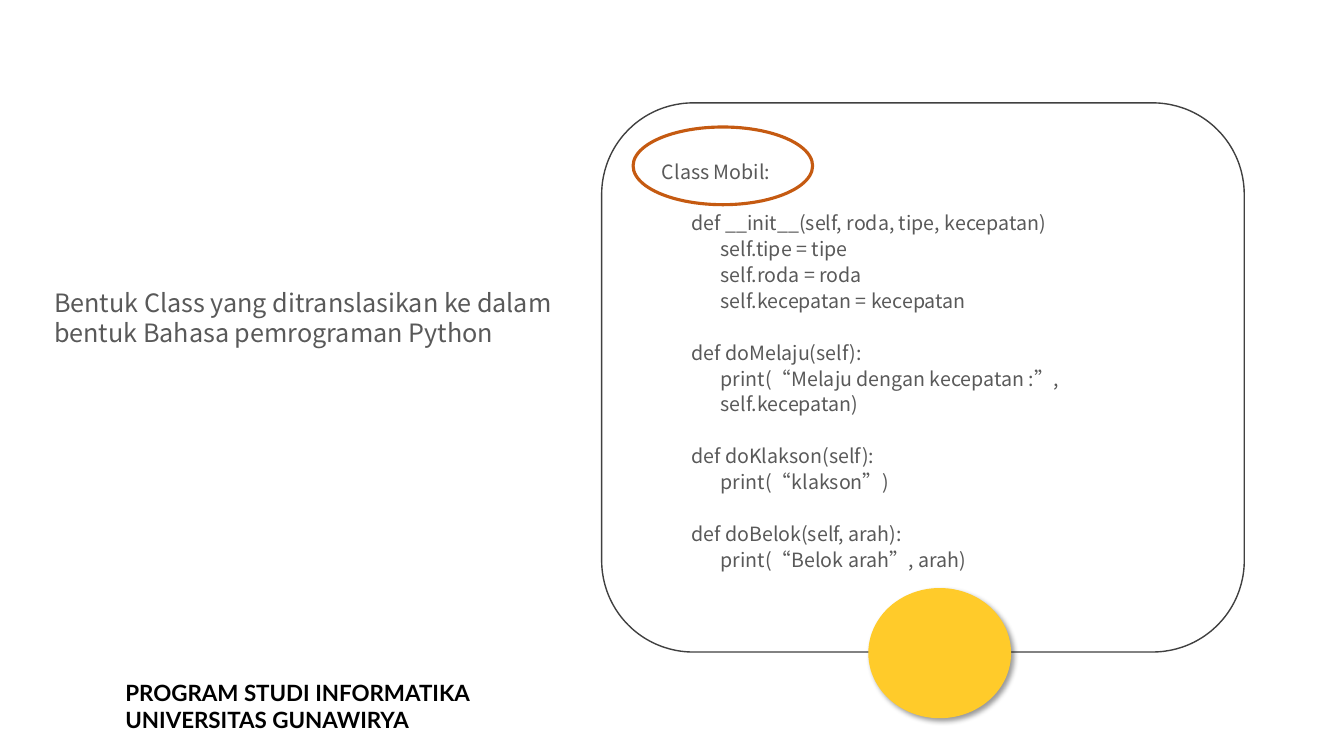
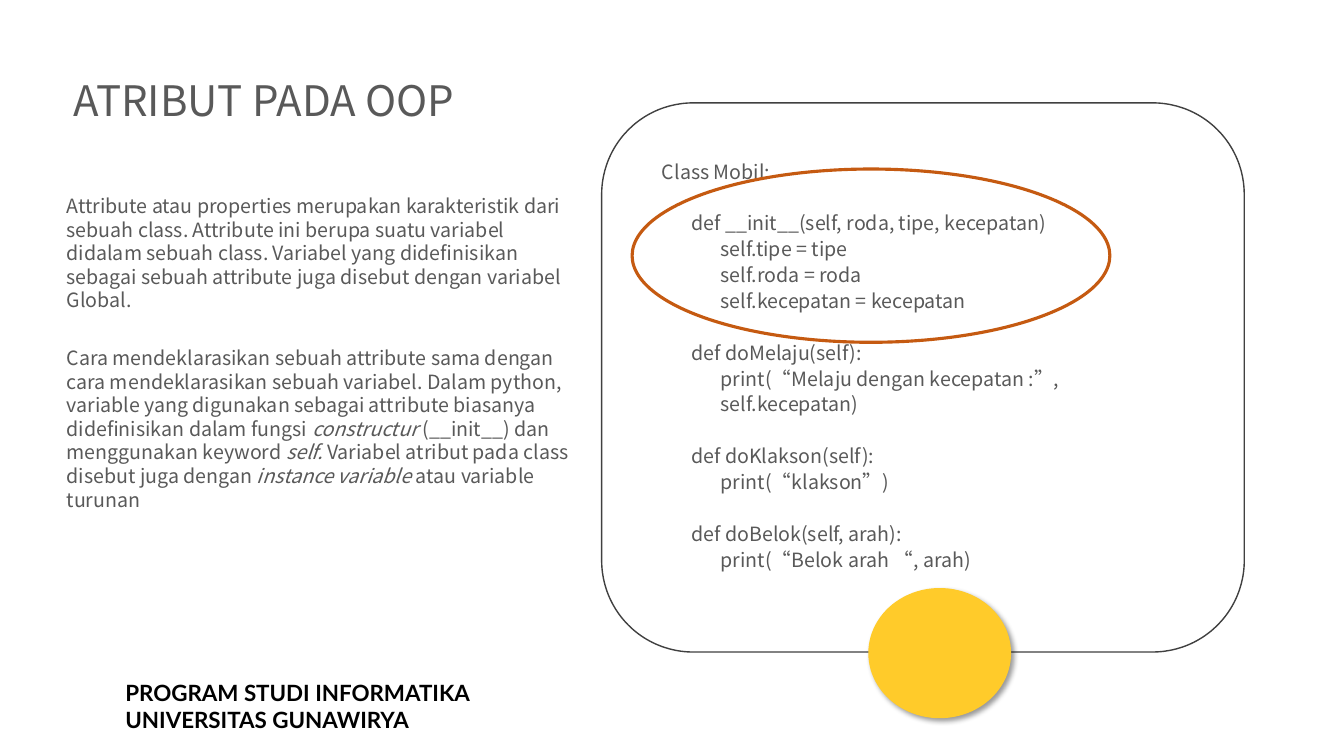
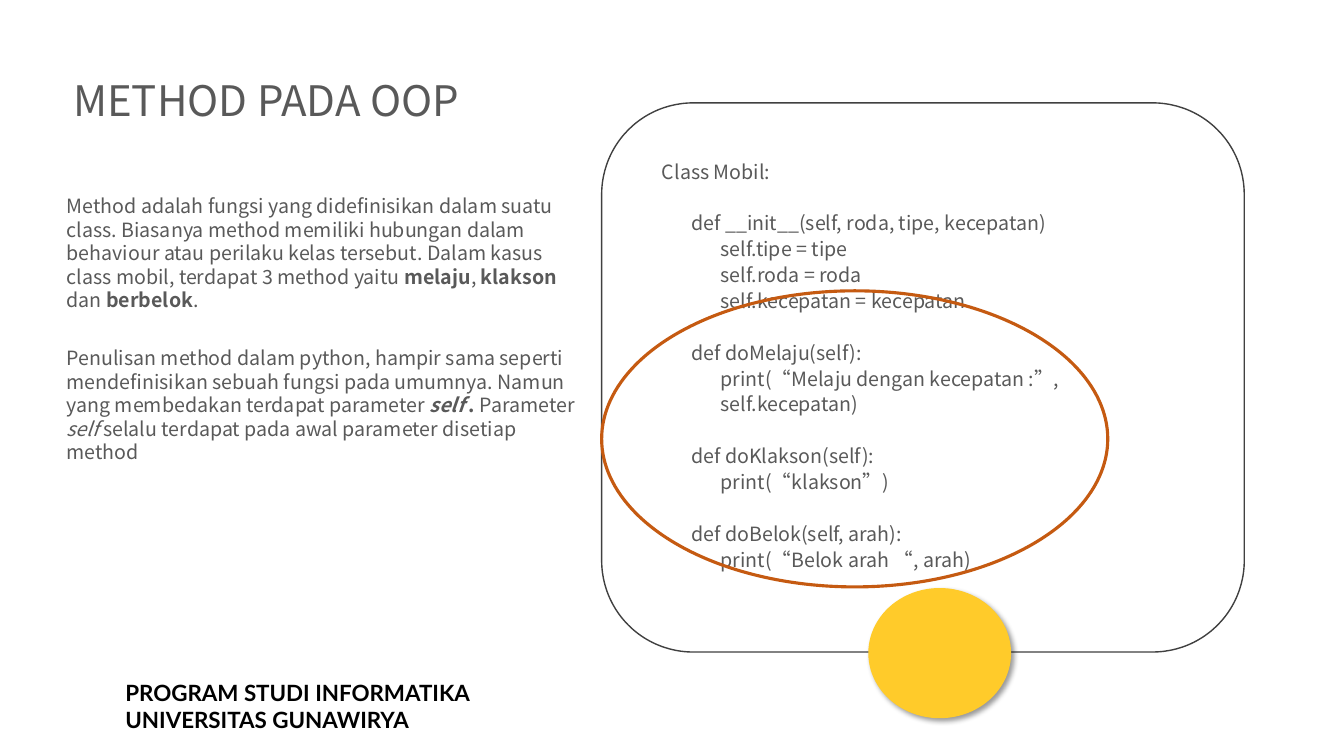
from lxml.etree import SubElement
from pptx import Presentation
from pptx.dml.color import RGBColor
from pptx.enum.shapes import MSO_SHAPE
from pptx.enum.text import MSO_ANCHOR, MSO_AUTO_SIZE, PP_ALIGN
from pptx.oxml import parse_xml
from pptx.oxml.ns import nsdecls, qn
from pptx.util import Pt

PX = 9525
SANS = "Noto Sans CJK SC"
GREY = "595959"
GOLD = "FFCB2A"
RUST = "C55A11"
STEP = 28

SHADOW = (
    f'<a:effectLst {nsdecls("a")}>'
    '<a:outerShdw blurRad="50800" dist="38100" dir="2700000" algn="tl" rotWithShape="0">'
    '<a:srgbClr val="000000"><a:alpha val="40000"/></a:srgbClr>'
    '</a:outerShdw></a:effectLst>'
)

FOOT = [
    (0, 0, [("PROGRAM STUDI INFORMATIKA", "b")]),
    (0, 0, [("UNIVERSITAS GUNAWIRYA", "b")]),
]

CODE = [
    (0, 0, "Class Mobil:"),
    (1, 1, "def __init__(self, roda, tipe, kecepatan)"),
    (2, 0, "self.tipe = tipe"),
    (2, 0, "self.roda = roda"),
    (2, 0, "self.kecepatan = kecepatan"),
    (1, 1, "def doMelaju(self):"),
    (2, 0, "print(“Melaju dengan kecepatan :”, self.kecepatan)"),
    (1, 1, "def doKlakson(self):"),
    (2, 0, "print(“klakson”)"),
    (1, 1, "def doBelok(self, arah):"),
]

PAGES = [
    {
        "title": None,
        "last": "print(“Belok arah”, arah)",
        "ring": (603, 121, 171, 74),
        "texts": [
            ((42, 269, 504, 68), 18, [
                ("Bentuk Class yang ditranslasikan ke dalam bentuk Bahasa pemrograman Python", ""),
            ]),
        ],
    },
    {
        "title": "ATRIBUT PADA OOP",
        "last": "print(“Belok arah “, arah)",
        "ring": (602, 161, 455, 165),
        "texts": [
            ((54, 180, 504, 123), 14, [
                ("Attribute atau properties merupakan karakteristik dari sebuah class. "
                 "Attribute ini berupa suatu variabel didalam sebuah class. "
                 "Variabel yang didefinisikan sebagai sebuah attribute juga disebut "
                 "dengan variabel Global.", ""),
            ]),
            ((54, 325, 504, 168), 14, [
                ("Cara mendeklarasikan sebuah attribute sama dengan cara mendeklarasikan "
                 "sebuah variabel. Dalam python, variable yang digunakan sebagai attribute "
                 "biasanya didefinisikan dalam fungsi ", ""),
                ("constructur ", "i"),
                ("(__init__) dan menggunakan keyword ", ""),
                ("self. ", "i"),
                ("Variabel atribut pada class disebut juga dengan ", ""),
                ("instance variable ", "i"),
                ("atau variable turunan", ""),
            ]),
        ],
    },
    {
        "title": "METHOD PADA OOP",
        "last": "print(“Belok arah “, arah)",
        "ring": (573, 277, 482, 282),
        "texts": [
            ((54, 180, 504, 123), 14, [
                ("Method adalah fungsi yang didefinisikan dalam suatu class. "
                 "Biasanya method memiliki hubungan dalam behaviour atau perilaku kelas "
                 "tersebut. Dalam kasus class mobil, terdapat 3 method yaitu ", ""),
                ("melaju", "b"),
                (", ", ""),
                ("klakson", "b"),
                (" dan ", ""),
                ("berbelok", "b"),
                (".", ""),
            ]),
            ((54, 325, 504, 123), 14, [
                ("Penulisan method dalam python, hampir sama seperti mendefinisikan sebuah "
                 "fungsi pada umumnya. Namun yang membedakan terdapat parameter ", ""),
                ("self ", "bi"),
                (". ", "b"),
                ("Parameter ", ""),
                ("self ", "i"),
                ("selalu terdapat pada awal parameter disetiap method", ""),
            ]),
        ],
    },
]


def write(box, spot, paras, size, hue=GREY, face=SANS, lead=1.2):
    box.left, box.top, box.width, box.height = [n * PX for n in spot]
    frame = box.text_frame
    frame.word_wrap = True
    frame.auto_size = MSO_AUTO_SIZE.NONE
    frame.vertical_anchor = MSO_ANCHOR.TOP
    pitch = Pt(round(size * lead, 2))
    for k, (depth, gap, runs) in enumerate(paras):
        para = frame.add_paragraph() if k else frame.paragraphs[0]
        para.alignment = PP_ALIGN.LEFT
        para.line_spacing = pitch
        para.space_before = gap * pitch
        para._p.get_or_add_pPr().set("marL", str(depth * STEP * PX))
        for text, style in runs:
            run = para.add_run()
            run.text = text
            font = run.font
            font.size = Pt(size)
            font.name = face
            font.bold = "b" in style
            font.italic = "i" in style
            font.color.rgb = RGBColor.from_string(hue)
            SubElement(font._element, qn("a:ea")).set("typeface", face)


def draw(slide, kind, spot, fill=None, line=None, width=1):
    shape = slide.shapes.add_shape(kind, *[n * PX for n in spot])
    shape.shadow.inherit = False
    if fill:
        shape.fill.solid()
        shape.fill.fore_color.rgb = RGBColor.from_string(fill)
    else:
        shape.fill.background()
    if line:
        shape.line.color.rgb = RGBColor.from_string(line)
        shape.line.width = Pt(width)
    else:
        shape.line.fill.background()
    return shape


deck = Presentation()
deck.slide_width = 1280 * PX
deck.slide_height = 720 * PX

for page in PAGES:
    title = page["title"]
    slide = deck.slides.add_slide(deck.slide_layouts[5 if title else 6])
    shapes = slide.shapes
    if title:
        write(shapes.title, (60, 66, 470, 58), [(0, 0, [(title, "")])], 30)

    write(shapes.add_textbox(0, 0, 0, 0), (110, 642, 630, 61), FOOT, 16, "000000", "Lato")

    draw(slide, MSO_SHAPE.ROUNDED_RECTANGLE, (573, 98, 612, 523), "FFFFFF", "404040")
    rows = CODE + [(2, 0, page["last"])]
    lines = [(depth, gap, [(text, "")]) for depth, gap, text in rows]
    write(shapes.add_textbox(0, 0, 0, 0), (621, 145, 516, 431), lines, 14, lead=1.32)

    disc = draw(slide, MSO_SHAPE.OVAL, (827, 560, 136, 124), GOLD)
    glow = disc._element.spPr.find(qn("a:effectLst"))
    glow.getparent().replace(glow, parse_xml(SHADOW))

    for spot, size, runs in page["texts"]:
        write(shapes.add_textbox(0, 0, 0, 0), spot, [(0, 0, runs)], size)

    draw(slide, MSO_SHAPE.OVAL, page["ring"], line=RUST, width=2.25)

deck.save("out.pptx")
